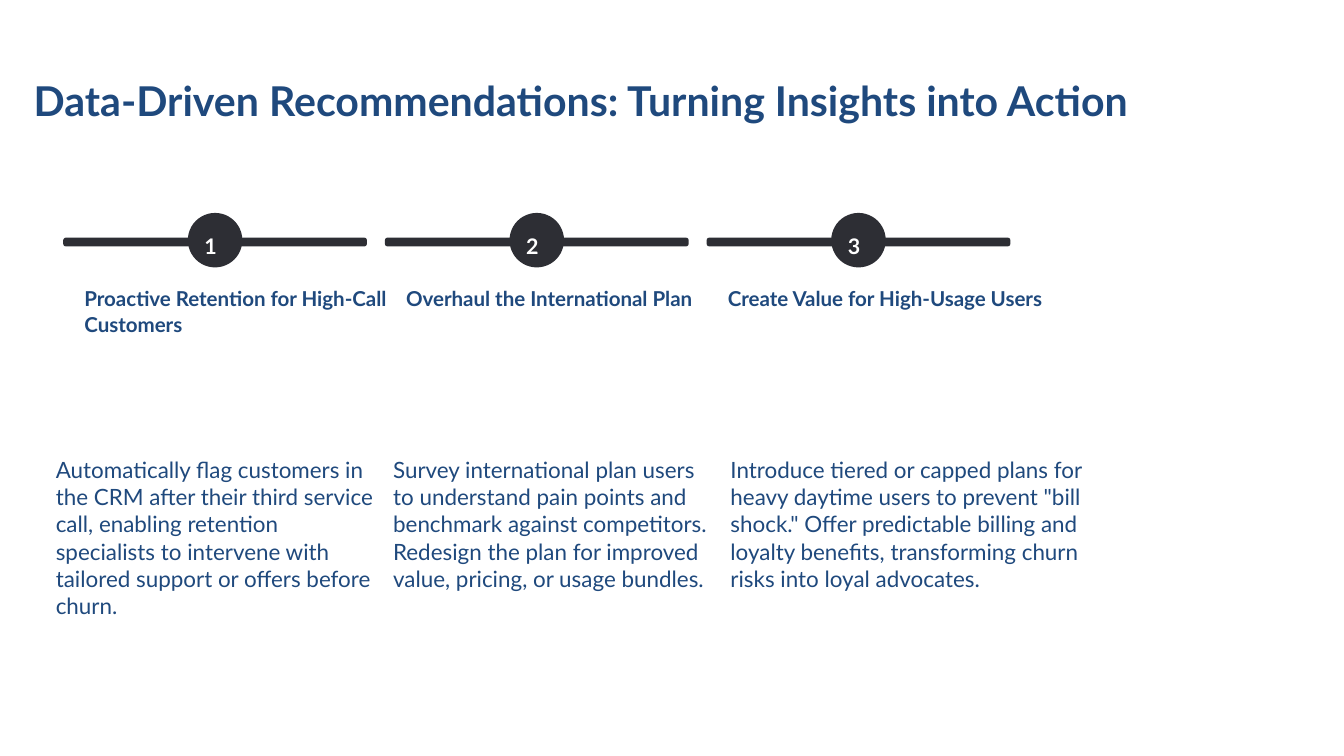
from pptx import Presentation
from pptx.dml.color import RGBColor
from pptx.enum.shapes import MSO_SHAPE
from pptx.enum.text import MSO_ANCHOR, MSO_AUTO_SIZE, PP_ALIGN
from pptx.util import Cm, Pt

ROUNDED = MSO_SHAPE.ROUNDED_RECTANGLE
TOP = MSO_ANCHOR.TOP
LEFT = PP_ALIGN.LEFT
NO_AUTOFIT = MSO_AUTO_SIZE.NONE

NAVY = RGBColor(0x1F, 0x49, 0x7D)
CHARCOAL = RGBColor(0x2D, 0x2E, 0x34)
WHITE = RGBColor(0xFF, 0xFF, 0xFF)
FONT = "Lato"

# Lengths in centimetres
STEP_LEFT, STEP_TOP, STEP_PITCH = 2.39, 8.05, 12.16
TRACK_WIDTH, TRACK_HEIGHT = 11.48, 0.33
BADGE_SIZE = 2.06
ACTION_LEFT, ACTION_TOP, ACTION_PITCH = 2.11, 17.25, 12.75

# Heading, action, width of the action text
RECOMMENDATIONS = [
    ("Proactive Retention for High-Call Customers",
     "Automatically flag customers in the CRM after their third service call, "
     "enabling retention specialists to intervene with tailored support or "
     "offers before churn.", 12.07),
    ("Overhaul the International Plan",
     "Survey international plan users to understand pain points and benchmark "
     "against competitors. Redesign the plan for improved value, pricing, or "
     "usage bundles.", 12.07),
    ("Create Value for High-Usage Users",
     "Introduce tiered or capped plans for heavy daytime users to prevent "
     "\"bill shock.\" Offer predictable billing and loyalty benefits, "
     "transforming churn risks into loyal advocates.", 13.77),
]


def write(frame, text, size, spacing, color=NAVY, bold=False, wrap=True):
    frame.margin_left = frame.margin_right = 0
    frame.margin_top = frame.margin_bottom = 0
    frame.auto_size = NO_AUTOFIT
    frame.word_wrap = wrap
    frame.vertical_anchor = TOP
    frame.text = text
    paragraph = frame.paragraphs[0]
    paragraph.alignment = LEFT
    paragraph.line_spacing = Pt(spacing)
    font = paragraph.runs[0].font
    font.name, font.size, font.bold = FONT, Pt(size), bold
    font.color.rgb = color


def add_label(slide, left, top, width, height, text, size, spacing, **style):
    label = slide.shapes.add_textbox(Cm(left), Cm(top), Cm(width), Cm(height))
    write(label.text_frame, text, size, spacing, **style)


def add_block(slide, left, top, width, height, rounding):
    block = slide.shapes.add_shape(
        ROUNDED, Cm(left), Cm(top), Cm(width), Cm(height))
    block.adjustments[0] = rounding
    block.shadow.inherit = False
    block.fill.solid()
    block.fill.fore_color.rgb = CHARCOAL
    block.line.fill.background()


def add_title(slide, left, top, width, height, text):
    title = slide.shapes.title
    title.left, title.top = Cm(left), Cm(top)
    title.width, title.height = Cm(width), Cm(height)
    write(title.text_frame, text, 44, 55, bold=True)


def add_step(slide, left, top, number, heading):
    # Track with a round badge in the middle
    track_top = top + (BADGE_SIZE - TRACK_HEIGHT) / 2 + 0.07
    add_block(slide, left, track_top, TRACK_WIDTH, TRACK_HEIGHT, 0.3)
    badge_left = left + (TRACK_WIDTH - BADGE_SIZE) / 2
    add_block(slide, badge_left, top, BADGE_SIZE, BADGE_SIZE, 0.5)
    add_label(slide, badge_left + 0.63, top + 0.51, 0.81, 1.02,
              str(number), 23, 34.5, color=WHITE, bold=True, wrap=False)
    # Heading under the track
    add_label(slide, left + 0.8, top + 2.74, 12.07, 2.31,
              heading, 22, 27.5, bold=True)


def main():
    deck = Presentation()
    deck.slide_width, deck.slide_height = Cm(50.8), Cm(28.58)
    slide = deck.slides.add_slide(deck.slide_layouts.get_by_name("Title Only"))

    add_title(slide, 1.27, 2.77, 49.53, 2.39,
              "Data-Driven Recommendations: Turning Insights into Action")
    for index, (heading, action, width) in enumerate(RECOMMENDATIONS):
        add_step(slide, STEP_LEFT + index * STEP_PITCH, STEP_TOP,
                 index + 1, heading)
        add_label(slide, ACTION_LEFT + index * ACTION_PITCH, ACTION_TOP,
                  width, 8.31, action, 24, 29)

    deck.save("out.pptx")


if __name__ == "__main__":
    main()
